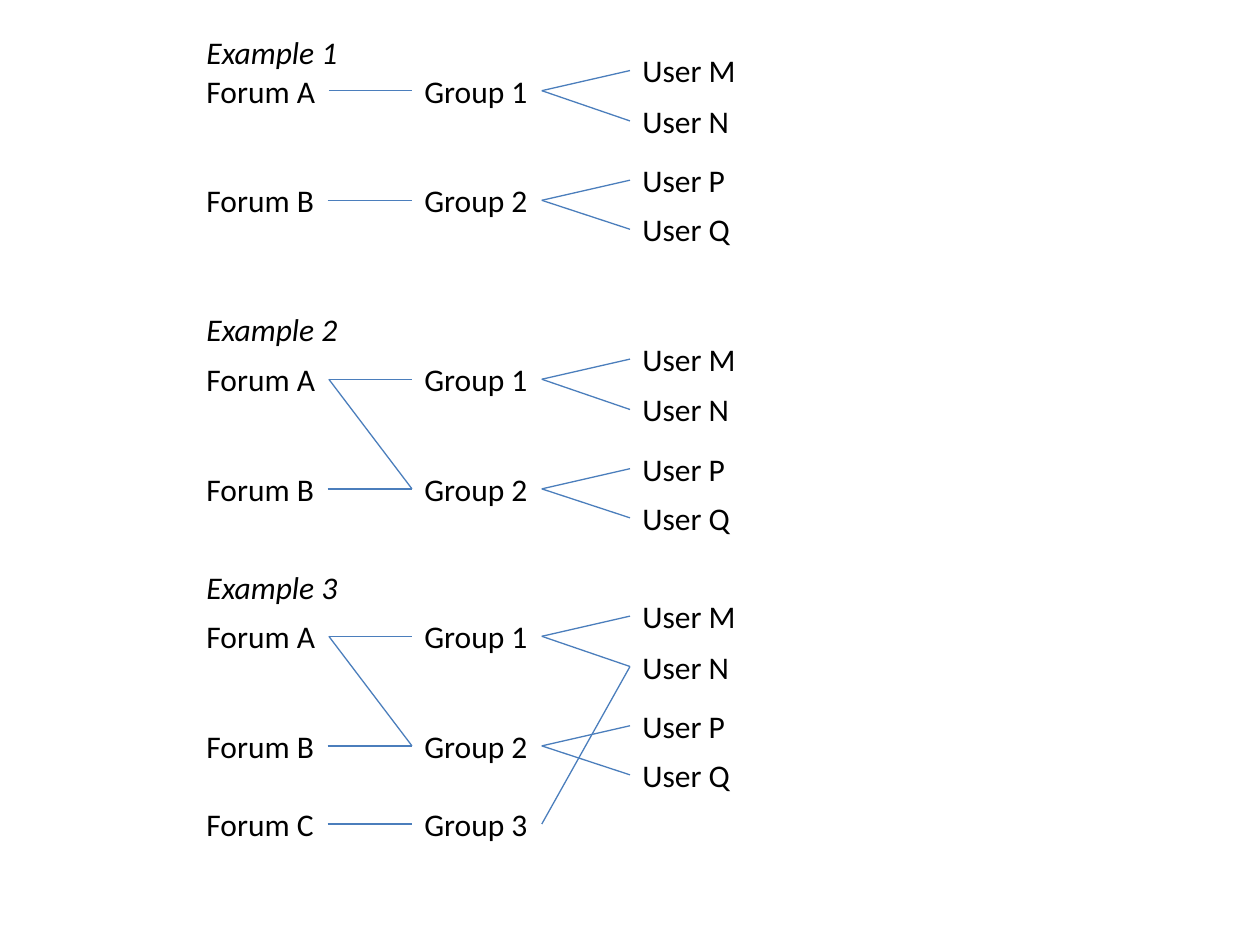
from lxml.etree import SubElement
from pptx import Presentation
from pptx.dml.color import RGBColor
from pptx.enum.shapes import MSO_CONNECTOR
from pptx.enum.text import MSO_AUTO_SIZE
from pptx.oxml.ns import qn
from pptx.util import Inches, Pt

LEFT_SITE, RIGHT_SITE = 1, 3
FORUM_X, GROUP_X, USER_X = 1.54, 3.27, 5
LABEL_HEIGHT = 0.4

# Label: left, offset below the first forum, width
LABELS = {
    "Forum A": (FORUM_X, 0, 1.07),
    "Group 1": (GROUP_X, 0, 1.03),
    "User M": (USER_X, -0.16, 0.95),
    "User N": (USER_X, 0.24, 0.9),
    "Forum B": (FORUM_X, 0.87, 1.06),
    "Group 2": (GROUP_X, 0.87, 1.03),
    "User P": (USER_X, 0.71, 0.86),
    "User Q": (USER_X, 1.1, 0.9),
    "Forum C": (FORUM_X, 1.49, 1.06),
    "Group 3": (GROUP_X, 1.49, 1.03),
}
BASE_LINKS = [
    ("Forum A", "Group 1"), ("Group 1", "User M"), ("Group 1", "User N"),
    ("Forum B", "Group 2"), ("Group 2", "User P"), ("Group 2", "User Q"),
]
SHARED_GROUP = [("Forum A", "Group 2")]
SHARED_USER = [("Group 3", "User N"), ("Forum C", "Group 3")]

# Title, title top, first forum top, links beyond the base ones
EXAMPLES = [
    ("Example 1", 0.21, 0.52, []),
    ("Example 2", 2.41, 2.81, SHARED_GROUP),
    ("Example 3", 4.46, 4.85, SHARED_GROUP + SHARED_USER),
]


def add_label(slide, text, left, top, width, italic=False):
    """Add a one-line text box and return it."""
    box = slide.shapes.add_textbox(
        Inches(left), Inches(top), Inches(width), Inches(LABEL_HEIGHT))
    frame = box.text_frame
    frame.word_wrap = False
    frame.auto_size = MSO_AUTO_SIZE.SHAPE_TO_FIT_TEXT
    run = frame.paragraphs[0].add_run()
    run.text = text
    run.font.name = "Calibri"
    run.font.size = Pt(18)
    run.font.italic = italic
    run.font.color.rgb = RGBColor.from_string("000000")
    return box


def add_link(slide, source, target):
    """Join the right side of one label to the left side of another."""
    link = slide.shapes.add_connector(MSO_CONNECTOR.STRAIGHT, 0, 0, 0, 0)
    link.begin_connect(source, RIGHT_SITE)
    link.end_connect(target, LEFT_SITE)
    link.line.color.rgb = RGBColor.from_string("4B7EBC")
    link.line.width = Pt(0.75)
    SubElement(link._element.spPr, qn("a:effectLst"))


presentation = Presentation()
presentation.slide_width = Inches(10)
presentation.slide_height = Inches(7.5)
slide = presentation.slides.add_slide(presentation.slide_layouts[6])

for title, title_top, forum_top, extra_links in EXAMPLES:
    add_label(slide, title, FORUM_X, title_top, 1.25, italic=True)
    links = BASE_LINKS + extra_links
    linked_names = {name for link in links for name in link}
    boxes = {
        name: add_label(slide, name, left, forum_top + offset, width)
        for name, (left, offset, width) in LABELS.items()
        if name in linked_names
    }
    for source, target in links:
        add_link(slide, boxes[source], boxes[target])

presentation.save("out.pptx")
